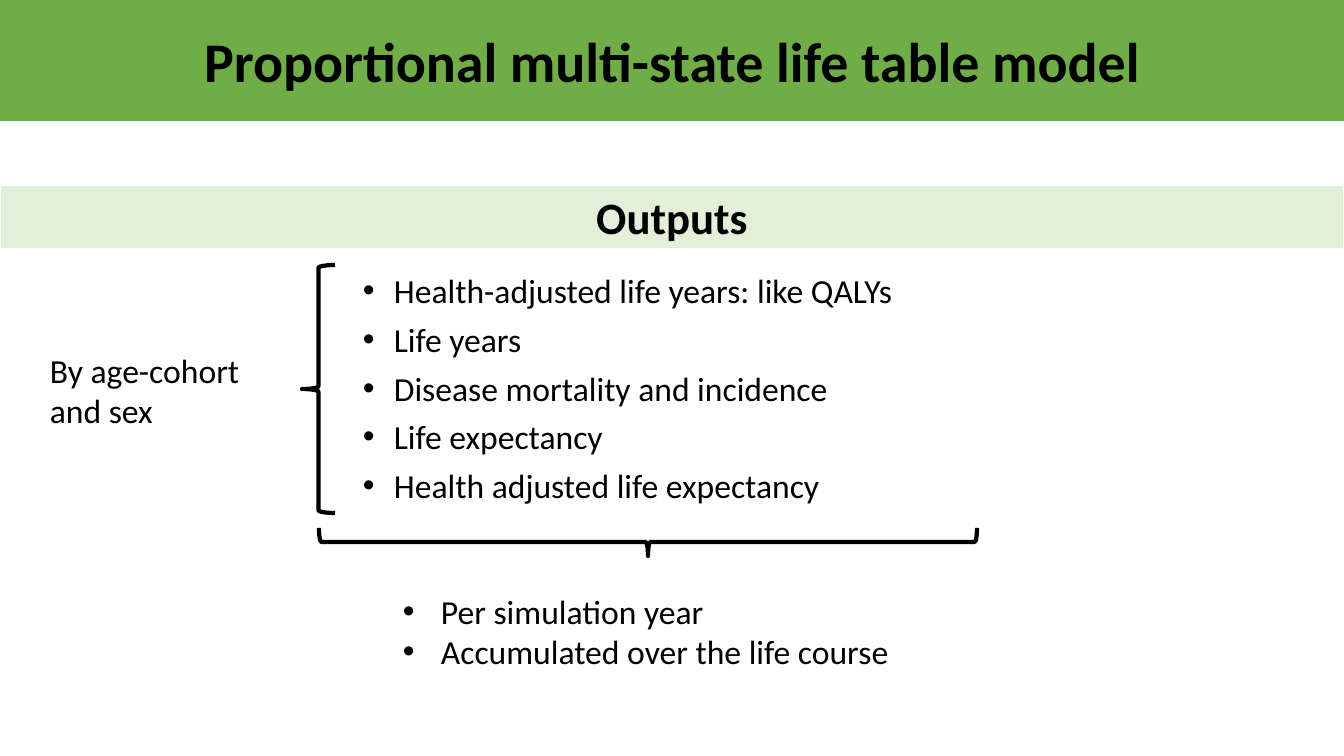
from pptx import Presentation
from pptx.dml.color import RGBColor
from pptx.enum.shapes import MSO_SHAPE as SHAPE
from pptx.enum.text import MSO_ANCHOR as ANCHOR, PP_ALIGN as ALIGN
from pptx.oxml.ns import qn
from pptx.util import Pt
from lxml.etree import SubElement

EMU_PER_PX = 914400 / 100.8
FONT = "Calibri"
BLACK = RGBColor(0x00, 0x00, 0x00)
WHITE = RGBColor(0xFF, 0xFF, 0xFF)
GREEN = RGBColor(0x70, 0xAD, 0x47)
PALE_GREEN = RGBColor(0xE2, 0xF0, 0xD9)
OUTPUTS = [
    "Health-adjusted life years: like QALYs",
    "Life years",
    "Disease mortality and incidence",
    "Life expectancy",
    "Health adjusted life expectancy",
]
TIMINGS = ["Per simulation year", "Accumulated over the life course"]


def px(n):
    return round(n * EMU_PER_PX)


def write(sp, lines, size, bold=False, align=ALIGN.LEFT, anchor=ANCHOR.TOP, before=0):
    tf = sp.text_frame
    tf.word_wrap = True
    tf.vertical_anchor = anchor
    tf.text = "\n".join(lines)
    for p in tf.paragraphs:
        p.alignment = align
        p.space_before = Pt(before)
        for r in p.runs:
            r.font.name = FONT
            r.font.size = Pt(size)
            r.font.bold = bold
            r.font.color.rgb = BLACK
    return tf


def add_band(slide, box, text, size, fill, line=None):
    sp = slide.shapes.add_shape(SHAPE.RECTANGLE, *map(px, box))
    sp.shadow.inherit = False
    sp.fill.solid()
    sp.fill.fore_color.rgb = fill
    if line is None:
        sp.line.fill.background()
    else:
        sp.line.color.rgb = line
        sp.line.width = Pt(1)
    write(sp, [text], size, True, ALIGN.CENTER, ANCHOR.MIDDLE)


def add_label(slide, box, text):
    sp = slide.shapes.add_textbox(*map(px, box))
    write(sp, [text], 24, anchor=ANCHOR.MIDDLE)


def add_bullets(slide, box, lines, indent, before=0):
    sp = slide.shapes.add_textbox(*map(px, box))
    for p in write(sp, lines, 24, before=before).paragraphs:
        pPr = p._p.get_or_add_pPr()
        pPr.set("marL", str(px(indent)))
        pPr.set("indent", str(-px(indent)))
        SubElement(pPr, qn("a:buFont"), typeface="Arial")
        SubElement(pPr, qn("a:buChar"), char="•")


def add_brace(slide, box, points_down=False):
    left, top, width, height = box
    if points_down:
        left, top = left + (width - height) / 2, top + (height - width) / 2
        width, height = height, width
    sp = slide.shapes.add_shape(SHAPE.LEFT_BRACE, *map(px, (left, top, width, height)))
    sp.rotation = 270 if points_down else 0
    sp.shadow.inherit = False
    sp.fill.background()
    sp.line.color.rgb = BLACK
    sp.line.width = Pt(3)


def add_outputs(slide, box):
    left, top, width, height = box
    add_band(slide, (left, top, width, 64), "Outputs", 32, PALE_GREEN, WHITE)
    add_label(slide, (left + 40, top + 153, 254, 104), "By age-cohort and sex")
    add_brace(slide, (left + 302, top + 80, 33, 248))
    add_bullets(slide, (left + 353, top + 80, 563, 248), OUTPUTS, 31, 6)
    add_brace(slide, (left + 319, top + 343, 658, 28), points_down=True)
    add_bullets(slide, (left + 393, top + height - 92, 510, 92), TIMINGS, 38)


prs = Presentation()
prs.slide_width, prs.slide_height = px(1344), px(756)
slide = prs.slides.add_slide(prs.slide_layouts[6])
add_band(slide, (0, 0, 1344, 121), "Proportional multi-state life table model", 40, GREEN)
add_outputs(slide, (0, 185, 1344, 493))
prs.save("out.pptx")
